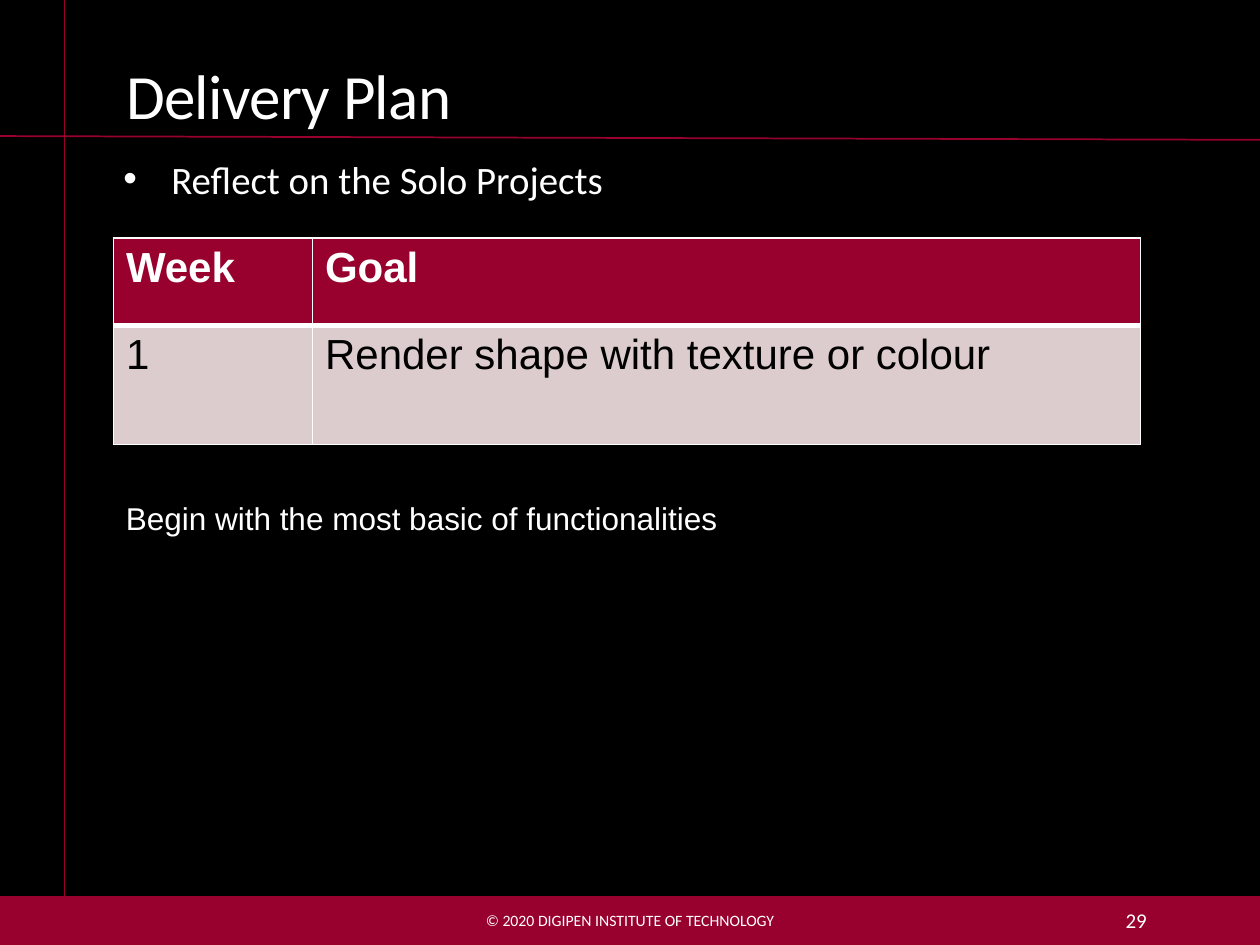
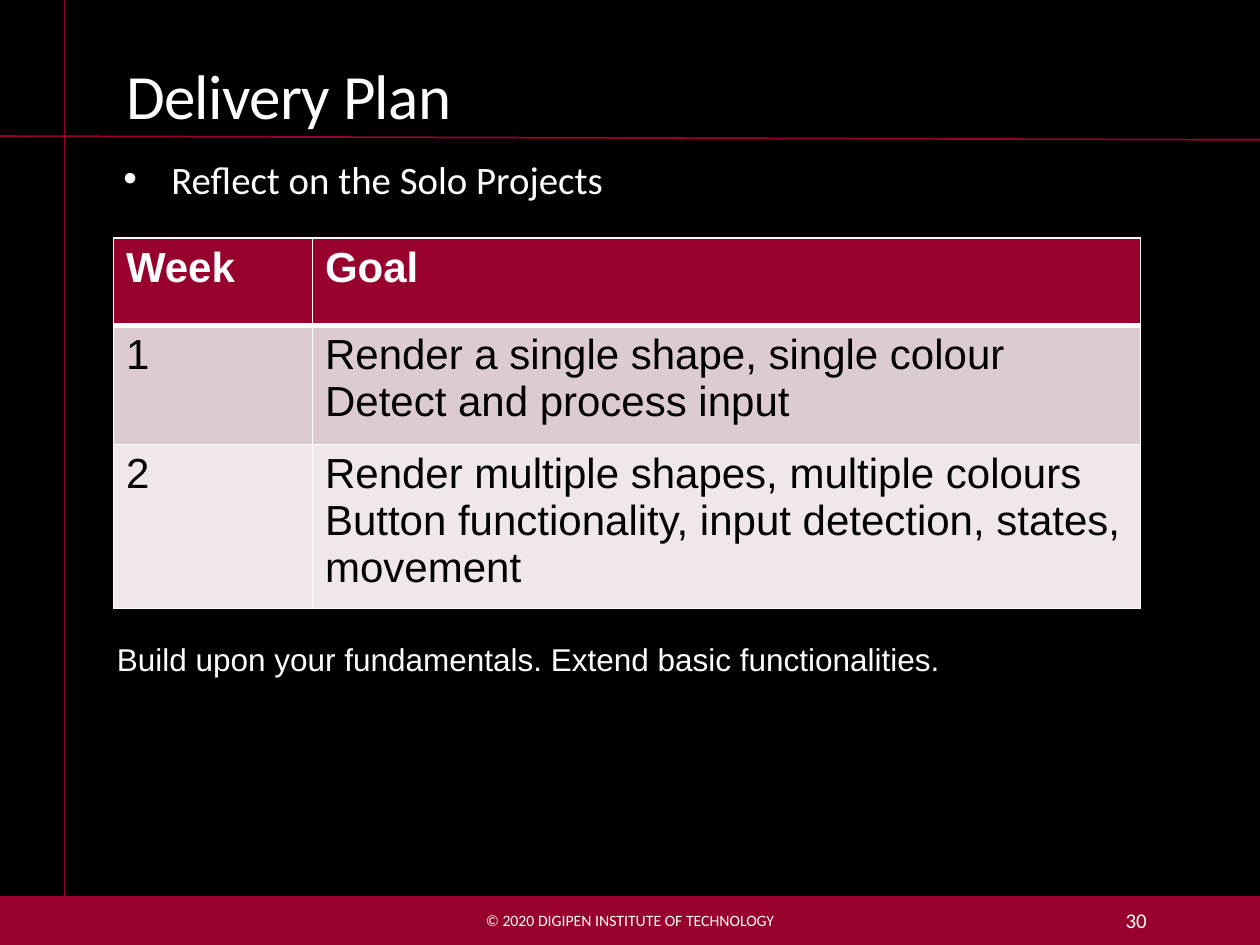
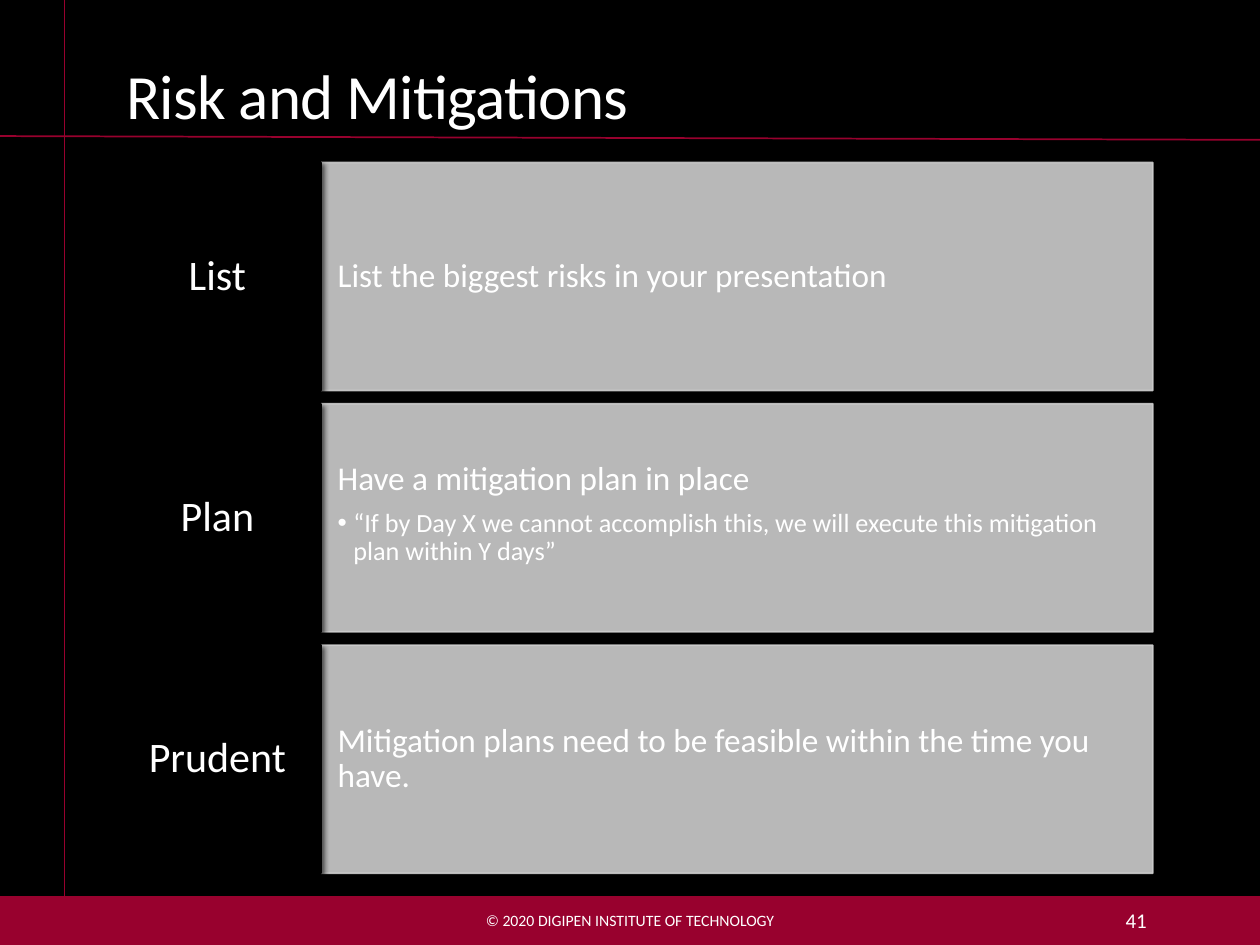
from lxml.etree import SubElement
from pptx import Presentation
from pptx.dml.color import RGBColor
from pptx.enum.shapes import MSO_CONNECTOR as Connector, MSO_SHAPE as Shape
from pptx.enum.text import MSO_ANCHOR as Anchor, MSO_AUTO_SIZE as AutoSize, PP_ALIGN as Align
from pptx.oxml.ns import qn
from pptx.util import Pt

COLORS = {
    "black": "000000",
    "white": "FFFFFF",
    "crimson": "98012E",
    "panel": "CCCCCC",
    "odd_row": "DDCCCD",
    "even_row": "EFE7E8",
}
COPYRIGHT = "© 2020 DIGIPEN INSTITUTE OF TECHNOLOGY"
LEFT, WIDTH = 64.8, 594
TITLE_AND_BODY, TITLE_ONLY = 1, 5


def rgb(name):
    return RGBColor.from_string(COLORS[name])


def add_color(parent, name, alpha=None):
    color = SubElement(parent, qn("a:srgbClr"), val=COLORS[name])
    if alpha:
        SubElement(color, qn("a:alpha"), val=str(alpha * 1000))


class Deck:
    def __init__(self):
        self.prs = Presentation()
        self.prs.slide_width, self.prs.slide_height = Pt(720), Pt(540)
        background = self.prs.slide_master.background.fill
        background.solid()
        background.fore_color.rgb = rgb("black")
        self.slide = None

    def start(self, layout, heading, number):
        is_first = self.slide is None
        self.slide = self.prs.slides.add_slide(self.prs.slide_layouts[layout])
        if is_first:
            self.frame()
        self.title(heading)
        self.text(COPYRIGHT, (217.44, 511.2, 285.12, 28.8), 9, "Calibri", Align.CENTER, Anchor.MIDDLE)
        self.text(str(number), (584.64, 511.2, 77.76, 28.8), 12, "Calibri", Align.RIGHT, Anchor.MIDDLE)

    def frame(self):
        parts = [
            self.rect((0, 512.64, 720, 27.36), "crimson"),
            self.line(36.9, 0, 36.9, 512.64),
            self.line(0, 77.76, 720, 79.92),
        ]
        tree = self.prs.slide_master.shapes.element
        for shape_id, part in enumerate(parts, 101):
            part.element.xpath(".//p:cNvPr")[0].set("id", str(shape_id))
            tree.append(part.element)

    def place(self, shape, box):
        shape.left, shape.top, shape.width, shape.height = map(Pt, box)

    def style(self, paragraph, size, font="Calibri", color="white", bold=False):
        paragraph.font.size = Pt(size)
        paragraph.font.name = font
        paragraph.font.bold = bold
        paragraph.font.color.rgb = rgb(color)

    def margins(self, frame, across, down):
        frame.margin_left = frame.margin_right = Pt(across)
        frame.margin_top = frame.margin_bottom = Pt(down)

    def bullet(self, paragraph, margin, hanging):
        props = paragraph._p.get_or_add_pPr()
        props.set("marL", str(Pt(margin)))
        props.set("indent", str(-Pt(hanging)))
        add_color(SubElement(props, qn("a:buClr")), "white")
        SubElement(props, qn("a:buFont"), typeface="Arial")
        SubElement(props, qn("a:buChar"), char="•")

    def title(self, heading):
        title = self.slide.shapes.title
        self.place(title, (LEFT, 11.52, WIDTH, 67.68))
        frame = title.text_frame
        frame.text = heading
        frame.auto_size = AutoSize.NONE
        frame.vertical_anchor = Anchor.BOTTOM
        paragraph = frame.paragraphs[0]
        paragraph.alignment = Align.LEFT
        paragraph.line_spacing = 0.85
        self.style(paragraph, 36)
        paragraph._p.xpath("a:pPr/a:defRPr")[0].set("spc", "-40")

    def body(self, point):
        body = self.slide.placeholders[1]
        self.place(body, (LEFT, 92.88, WIDTH, 28.8))
        frame = body.text_frame
        frame.text = point
        frame.auto_size = AutoSize.NONE
        self.margins(frame, 0, 3.6)
        paragraph = frame.paragraphs[0]
        paragraph.line_spacing = 0.7
        paragraph.space_before = Pt(0)
        self.bullet(paragraph, 33.12, 27.36)
        self.style(paragraph, 22.2)

    def text(self, words, box, size, font, align=Align.LEFT, anchor=Anchor.TOP):
        frame = self.slide.shapes.add_textbox(*map(Pt, box)).text_frame
        frame.word_wrap = True
        frame.vertical_anchor = anchor
        frame.text = words
        frame.paragraphs[0].alignment = align
        self.style(frame.paragraphs[0], size, font)

    def line(self, x1, y1, x2, y2):
        line = self.slide.shapes.add_connector(Connector.STRAIGHT, *map(Pt, (x1, y1, x2, y2)))
        line.line.color.rgb = rgb("crimson")
        line.line.width = Pt(1)
        SubElement(line.element.spPr, qn("a:effectLst"))
        return line

    def rect(self, box, color, alpha=None):
        rect = self.slide.shapes.add_shape(Shape.RECTANGLE, *map(Pt, box))
        rect.shadow.inherit = False
        rect.fill.solid()
        rect.fill.fore_color.rgb = rgb(color)
        rect.line.color.rgb = rgb(color)
        rect.line.width = Pt(1)
        if alpha:
            for tint in rect.element.spPr.iter(qn("a:srgbClr")):
                SubElement(tint, qn("a:alpha"), val=str(alpha * 1000))
        return rect

    def cast_shadow(self, shape):
        effects = shape.element.spPr.find(qn("a:effectLst"))
        shadow = SubElement(effects, qn("a:outerShdw"), blurRad=str(Pt(3)), dist=str(Pt(2)),
                            dir=str(45 * 60000), rotWithShape="0")
        add_color(shadow, "black", 60)

    def label(self, word, box):
        label = self.rect(box, "black")
        self.cast_shadow(label)
        frame = label.text_frame
        frame.vertical_anchor = Anchor.MIDDLE
        self.margins(frame, 6.5, 13)
        frame.text = word
        frame.paragraphs[0].alignment = Align.CENTER
        frame.paragraphs[0].line_spacing = 0.9
        self.style(frame.paragraphs[0], 24)

    def panel(self, statement, details, box):
        frame = self.rect(box, "panel", 90).text_frame
        frame.vertical_anchor = Anchor.TOP if details else Anchor.MIDDLE
        self.margins(frame, 9.36, 33.12)
        frame.text = "\n".join([statement, *details])
        for level, paragraph in enumerate(frame.paragraphs):
            paragraph.alignment = Align.LEFT
            paragraph.line_spacing = 0.9
            if level:
                paragraph.level = 1
                paragraph.space_before = Pt(7)
                self.bullet(paragraph, 9, 9)
            self.style(paragraph, 15 if level else 19)

    def borders(self, cell, top, bottom):
        props = cell._tc.get_or_add_tcPr()
        sides = {"L": 1, "R": 1, "T": top, "B": bottom}
        for index, (side, width) in enumerate(sides.items()):
            border = SubElement(props, qn(f"a:ln{side}"), w=str(Pt(width)))
            add_color(SubElement(border, qn("a:solidFill")), "white")
            props.insert(index, border)

    def table(self, rows, heights):
        columns = (113.76, 473.04)
        box = (LEFT, 136.08, sum(columns), sum(heights))
        table = self.slide.shapes.add_table(len(rows), len(columns), *map(Pt, box)).table
        table.horz_banding = False
        for column, width in zip(table.columns, columns):
            column.width = Pt(width)
        for r, (entries, height) in enumerate(zip(rows, heights)):
            table.rows[r].height = Pt(height)
            is_header = r == 0
            fill = "crimson" if is_header else "odd_row" if r % 2 else "even_row"
            for c, entry in enumerate(entries):
                cell = table.cell(r, c)
                cell.fill.solid()
                cell.fill.fore_color.rgb = rgb(fill)
                self.borders(cell, 3 if r == 1 else 1, 3 if is_header else 1)
                paragraph = cell.text_frame.paragraphs[0]
                paragraph.text = entry
                self.style(paragraph, 24, "Arial", "white" if is_header else "black", is_header)


def delivery_plan(deck, number, goals, heights, remark, remark_at):
    deck.start(TITLE_AND_BODY, "Delivery Plan", number)
    deck.body("Reflect on the Solo Projects")
    weeks = [(str(week), goal) for week, goal in enumerate(goals, 1)]
    deck.table([("Week", "Goal"), *weeks], heights)
    deck.text(remark, (*remark_at, 586.8, 28.8), 18, "Arial")


def risks(deck, number, steps):
    deck.start(TITLE_ONLY, "Risk and Mitigations", number)
    label_width, height, pitch = 118.8, 130.32, 137.9
    for row, (word, statement, details) in enumerate(steps):
        top = 92.88 + row * pitch
        deck.panel(statement, details, (LEFT + label_width, top, WIDTH - label_width, height))
        deck.label(word, (LEFT, top, label_width, height))


def main():
    deck = Deck()
    delivery_plan(deck, 29, ["Render shape with texture or colour"], (50, 68),
                  "Begin with the most basic of functionalities", (LEFT, 281.52))
    delivery_plan(deck, 30, [
        "Render a single shape, single colour\nDetect and process input",
        "Render multiple shapes, multiple colours Button functionality, "
        "input detection, states, movement",
    ], (50, 68, 87), "Build upon your fundamentals. Extend basic functionalities.", (59.76, 362.16))
    risks(deck, 41, [
        ("List", "List the biggest risks in your presentation", []),
        ("Plan", "Have a mitigation plan in place", [
            "“If by Day X we cannot accomplish this, we will execute this mitigation plan within Y days”",
        ]),
        ("Prudent", "Mitigation plans need to be feasible within the time you have.", []),
    ])
    deck.prs.save("out.pptx")


if __name__ == "__main__":
    main()
